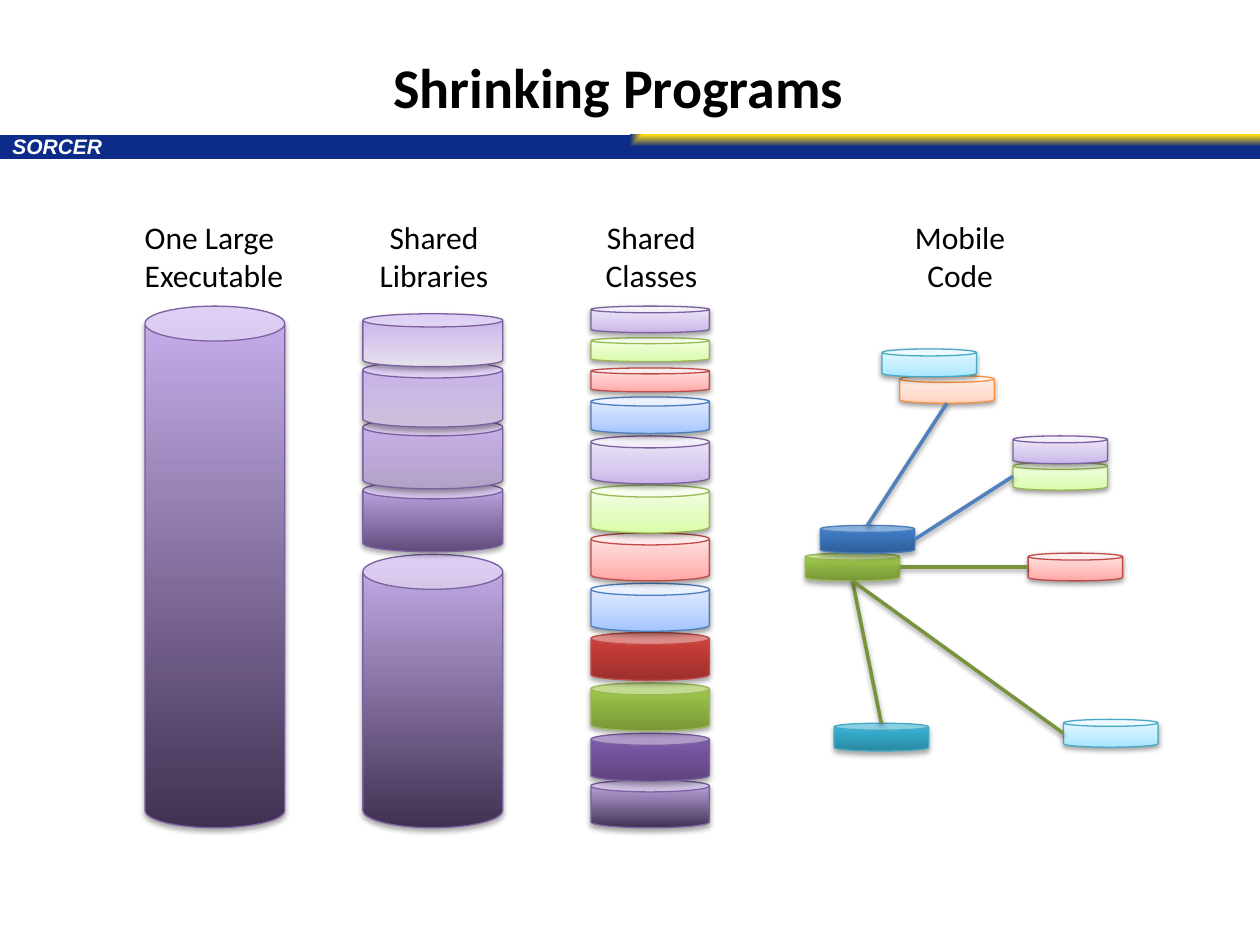
import typing

import lxml.etree
import pptx
import pptx.dml.color
import pptx.enum.shapes
import pptx.enum.text
import pptx.oxml.ns
import pptx.util

SLIDE_WIDTH = pptx.util.Inches(10)
SLIDE_HEIGHT = pptx.util.Inches(7.5)
COLUMNS, ROWS = 100, 75
SHAPES = pptx.enum.shapes.MSO_SHAPE
ALIGN = pptx.enum.text.PP_ALIGN

COLORS = {
    "black": "000000", "white": "FFFFFF", "gold": "FED910", "navy": "0D2B88",
    "blue link": "4F81BD", "green link": "77933C", "lilac": "C8B0ED",
    "purple edge": "7D60A0", "green edge": "98B955", "red edge": "BF4C48",
    "blue edge": "4B7EBC", "teal edge": "46AAC5", "orange edge": "F69240",
}


class Tone(typing.NamedTuple):
    edge: str
    stops: list[tuple[int, str]]
    shadow_alpha: int
    shadow_distance: float


class Can(typing.NamedTuple):
    column: float
    row: float
    width: float
    height: float
    tone: str


class Link(typing.NamedTuple):
    start: str
    start_side: str
    end: str
    end_side: str
    color: str


class Label(typing.NamedTuple):
    lines: list[str]
    column: float
    width: float
    alignment: ALIGN


def fade(bottom: str) -> Tone:
    return Tone("purple edge", [(0, bottom), (100, COLORS["lilac"])], 35, 1.8)


def dark(edge: str, *colors: str) -> Tone:
    return Tone(edge, list(zip((0, 80, 100), colors)), 35, 1.8)


def light(edge: str, *colors: str) -> Tone:
    return Tone(edge, list(zip((0, 35, 100), colors)), 38, 1.6)


TONES = {
    "fade 1": fade("403152"), "fade 2": fade("604A7B"), "fade 3": fade("B3A2C7"),
    "fade 4": fade("CCC1DA"), "fade 5": fade("E6E0EC"),
    "dark purple": dark("purple edge", "5F4480", "7B58A6", "7C57A8"),
    "dark green": dark("green edge", "779737", "9BC348", "9DC746"),
    "dark red": dark("red edge", "9C2F2D", "CB3E3A", "CE3B37"),
    "dark blue": dark("blue edge", "2F5F99", "3D7CC7", "3A7CCB"),
    "dark teal": dark("teal edge", "2A88A2", "37B1D2", "34B4D6"),
    "blue": light("blue edge", "A4C4FF", "BFD4FF", "E6EEFF"),
    "red": light("red edge", "FFA6A5", "FFC0BF", "FFE7E7"),
    "green": light("green edge", "DAFDA7", "E4FCC2", "F5FFE7"),
    "purple": light("purple edge", "C9B5E8", "D8CBEE", "F0EAF9"),
    "orange": light("orange edge", "FFD2BD", "FFDED0", "FFF2ED"),
    "teal": light("teal edge", "A7E6FF", "C1EDFF", "E7F8FF"),
}

EXECUTABLE = [(24.3, 41.4, "fade 1")]
LIBRARIES = [(44, 21.7, "fade 1"), (38.2, 5.6, "fade 2"), (33.2, 5.6, "fade 3"),
             (28.7, 5.2, "fade 4"), (24.9, 4.2, "fade 5")]
CLASSES = [(61.9, 3.8, "fade 1"), (58.2, 3.8, "dark purple"), (54.2, 3.8, "dark green"),
           (50.2, 3.8, "dark red"), (46.3, 3.8, "blue"), (42.3, 3.8, "red"),
           (38.5, 3.8, "green"), (34.6, 3.8, "purple"), (31.5, 2.9, "blue"),
           (29.2, 1.9, "red"), (26.8, 1.9, "green"), (24.3, 2.1, "purple")]
STACKS = [(11.5, 11.1, EXECUTABLE), (28.8, 11.1, LIBRARIES), (46.9, 9.4, CLASSES)]

MOBILE = {
    name: Can(column, row, 7.5, 2.2, tone)
    for name, column, row, tone in [
        ("lower host", 63.9, 43.9, "dark green"), ("upper host", 65.1, 41.7, "dark blue"),
        ("orange code", 71.4, 29.8, "orange"), ("top code", 70, 27.7, "teal"),
        ("green code", 80.4, 36.7, "green"), ("purple code", 80.4, 34.6, "purple"),
        ("bottom code", 66.2, 57.4, "dark teal"), ("far code", 84.4, 57.1, "teal"),
        ("red code", 81.6, 43.9, "red"),
    ]
}
SIDES = {"top": (0.5, 0), "left": (0, 0.5), "bottom": (0.5, 1), "right": (1, 0.5)}
LINKS = [
    Link("upper host", "top", "orange code", "bottom", "blue link"),
    Link("upper host", "right", "green code", "left", "blue link"),
    Link("lower host", "right", "red code", "left", "green link"),
    Link("lower host", "bottom", "bottom code", "top", "green link"),
    Link("lower host", "bottom", "far code", "left", "green link"),
]
LABELS = [
    Label(["One Large", "Executable"], 10.5, 13.1, ALIGN.LEFT),
    Label(["Shared", "Libraries"], 29.1, 10.7, ALIGN.CENTER),
    Label(["Shared", "Classes"], 47, 9.4, ALIGN.CENTER),
    Label(["Mobile", "Code"], 71.5, 9.4, ALIGN.CENTER),
]


def across(columns: float) -> int:
    return round(SLIDE_WIDTH * columns / COLUMNS)


def down(rows: float) -> int:
    return round(SLIDE_HEIGHT * rows / ROWS)


def place(column: float, row: float, width: float, height: float) -> tuple[int, ...]:
    return across(column), down(row), across(width), down(height)


def rgb(name: str) -> pptx.dml.color.RGBColor:
    return pptx.dml.color.RGBColor.from_string(COLORS[name])


def apply(target, values: dict) -> None:
    for name, value in values.items():
        setattr(target, name, value)


def add_node(parent, tag: str, **attributes):
    values = {name: str(value) for name, value in attributes.items()}
    return lxml.etree.SubElement(parent, pptx.oxml.ns.qn(tag), values)


def set_gradient(shape, stops: list[tuple[int, str]]):
    shape.fill.gradient()
    gradient = shape._element.spPr.find(pptx.oxml.ns.qn("a:gradFill"))
    for child in list(gradient):
        gradient.remove(child)
    stop_list = add_node(gradient, "a:gsLst")
    for position, color in stops:
        stop = add_node(stop_list, "a:gs", pos=position * 1000)
        add_node(stop, "a:srgbClr", val=color)
    return gradient


def add_shadow(shape, alpha: int, distance: float) -> None:
    effects = add_node(shape._element.spPr, "a:effectLst")
    outer = add_node(effects, "a:outerShdw", blurRad=pptx.util.Pt(3.1),
                     dist=pptx.util.Pt(distance), dir=5400000, rotWithShape=0)
    color = add_node(outer, "a:srgbClr", val=COLORS["black"])
    add_node(color, "a:alpha", val=alpha * 1000)


def draw_can(page, can: Can) -> None:
    tone = TONES[can.tone]
    shape = page.shapes.add_shape(SHAPES.CAN, *place(*can[:4]))
    add_node(set_gradient(shape, tone.stops), "a:lin", ang=16200000, scaled=0)
    shape.line.color.rgb = rgb(tone.edge)
    shape.line.width = pptx.util.Pt(0.75)
    add_shadow(shape, tone.shadow_alpha, tone.shadow_distance)


def side_point(name: str, side: str) -> tuple[int, int]:
    can, (share_x, share_y) = MOBILE[name], SIDES[side]
    return across(can.column + can.width * share_x), down(can.row + can.height * share_y)


def draw_link(page, link: Link) -> None:
    line = page.shapes.add_connector(
        pptx.enum.shapes.MSO_CONNECTOR.STRAIGHT,
        *side_point(link.start, link.start_side), *side_point(link.end, link.end_side))
    line.line.color.rgb = rgb(link.color)
    line.line.width = pptx.util.Pt(2)
    add_shadow(line, 38, 1.6)


def write(box, lines: list[str], size: float, paragraph_format: dict,
          wrap: bool = False, color: str = "black", **font_format) -> None:
    frame = box.text_frame
    apply(frame, {"word_wrap": wrap, "vertical_anchor": pptx.enum.text.MSO_ANCHOR.TOP,
                  "auto_size": pptx.enum.text.MSO_AUTO_SIZE.NONE})
    for index, text in enumerate(lines):
        para = frame.add_paragraph() if index else frame.paragraphs[0]
        apply(para, paragraph_format)
        span = para.add_run()
        span.text = text
        apply(span.font, {"name": "Calibri", "size": pptx.util.Pt(size), **font_format})
        span.font.color.rgb = rgb(color)


def draw_header(page) -> None:
    band = page.shapes.add_shape(SHAPES.RECTANGLE, *place(0, 10.7, 100, 1.9))
    gradient = set_gradient(band, [(0, COLORS["gold"]), (100, COLORS["navy"])])
    corner = add_node(gradient, "a:path", path="rect")
    add_node(corner, "a:fillToRect", l=100000, b=100000)
    band.line.fill.background()
    band.shadow.inherit = False
    name = page.shapes.add_textbox(*place(0, 10.5, 55, 2.6))
    write(name, ["SORCER"], 12, {"line_spacing": 0.8}, wrap=True, color="white",
          name="Arial", bold=True, italic=True)
    title = page.shapes.title
    apply(title, dict(zip(("left", "top", "width", "height"), place(30.2, 3.7, 38.1, 6.4))))
    write(title, ["Shrinking Programs"], 32, {"alignment": ALIGN.LEFT}, bold=True)


def main() -> None:
    deck = pptx.Presentation()
    apply(deck, {"slide_width": SLIDE_WIDTH, "slide_height": SLIDE_HEIGHT})
    page = deck.slides.add_slide(deck.slide_layouts[5])
    draw_header(page)
    for column, width, pieces in STACKS:
        for row, height, tone in pieces:
            draw_can(page, Can(column, row, width, height, tone))
    for can in MOBILE.values():
        draw_can(page, can)
    for link in LINKS:
        draw_link(page, link)
    for label in LABELS:
        box = page.shapes.add_textbox(*place(label.column, 16.8, label.width, 7.1))
        write(box, label.lines, 18, {"alignment": label.alignment})
    deck.save("out.pptx")


if __name__ == "__main__":
    main()
